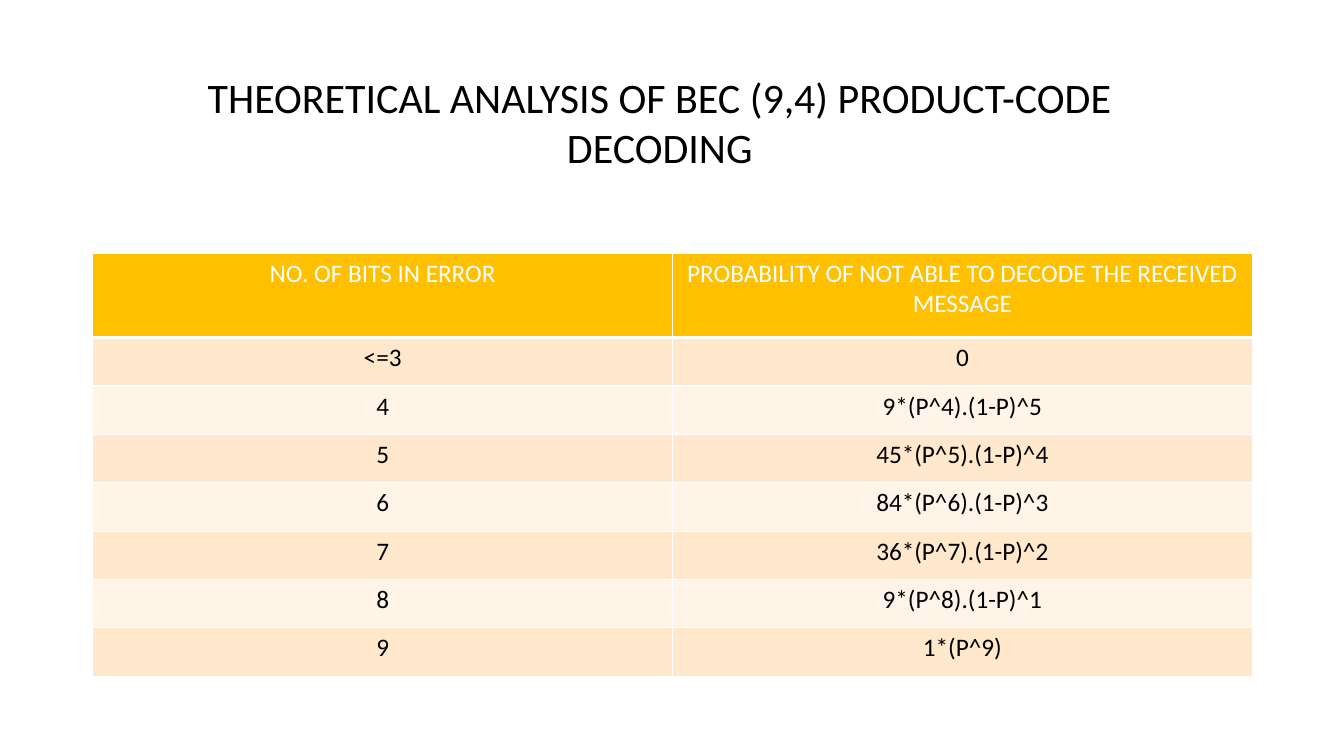
from lxml.etree import SubElement
from pptx import Presentation
from pptx.dml.color import RGBColor
from pptx.enum.text import PP_ALIGN
from pptx.oxml.ns import qn
from pptx.util import Inches, Pt

COLORS = {
    "white": "FFFFFF",
    "black": "000000",
    "gold": "FFC000",
    "peach": "FFE8CC",
    "cream": "FFF4E7",
}
TITLE = "THEORETICAL ANALYSIS OF BEC (9,4) PRODUCT-CODE DECODING"
ROWS = [
    ("NO. OF BITS IN ERROR", "PROBABILITY OF NOT ABLE TO DECODE THE RECEIVED MESSAGE"),
    ("<=3", "0"),
    ("4", "9*(P^4).(1-P)^5"),
    ("5", "45*(P^5).(1-P)^4"),
    ("6", "84*(P^6).(1-P)^3"),
    ("7", "36*(P^7).(1-P)^2"),
    ("8", "9*(P^8).(1-P)^1"),
    ("9", "1*(P^9)"),
]


def write(frame, text, size, color):
    frame.text = text
    frame.word_wrap = True
    para = frame.paragraphs[0]
    para.alignment = PP_ALIGN.CENTER
    font = para.runs[0].font
    font.name = "Calibri"
    font.size = Pt(size)
    font.bold = False
    font.color.rgb = RGBColor.from_string(COLORS[color])


def add_title(slide):
    box = slide.shapes.add_textbox(Inches(1.23), Inches(0.66), Inches(10.63), Inches(1.11))
    write(box.text_frame, TITLE, 30, "black")


def add_edges(cell, base):
    props = cell._tc.get_or_add_tcPr()
    for side, width in (("L", 1), ("R", 1), ("T", 1), ("B", base)):
        line = SubElement(props, qn(f"a:ln{side}"), w=str(Pt(width)))
        fill = SubElement(line, qn("a:solidFill"))
        SubElement(fill, qn("a:srgbClr"), val=COLORS["white"])


def fill_cell(cell, text, row):
    head = row == 0
    add_edges(cell, 3 if head else 1)
    shade = "gold" if head else ("cream", "peach")[row % 2]
    cell.fill.solid()
    cell.fill.fore_color.rgb = RGBColor.from_string(COLORS[shade])
    write(cell.text_frame, text, 18, "white" if head else "black")


def add_grid(slide):
    frame = slide.shapes.add_table(
        len(ROWS), 2, Inches(0.92), Inches(2.51), Inches(11.5), Inches(4.23)
    )
    table = frame.table
    for row, texts in enumerate(ROWS):
        table.rows[row].height = Inches(0.48 if row else 0.84)
        for col, text in enumerate(texts):
            fill_cell(table.cell(row, col), text, row)


def main():
    deck = Presentation()
    deck.slide_width = Inches(13.33)
    deck.slide_height = Inches(7.5)
    slide = deck.slides.add_slide(deck.slide_layouts[6])
    add_grid(slide)
    add_title(slide)
    deck.save("out.pptx")


if __name__ == "__main__":
    main()
